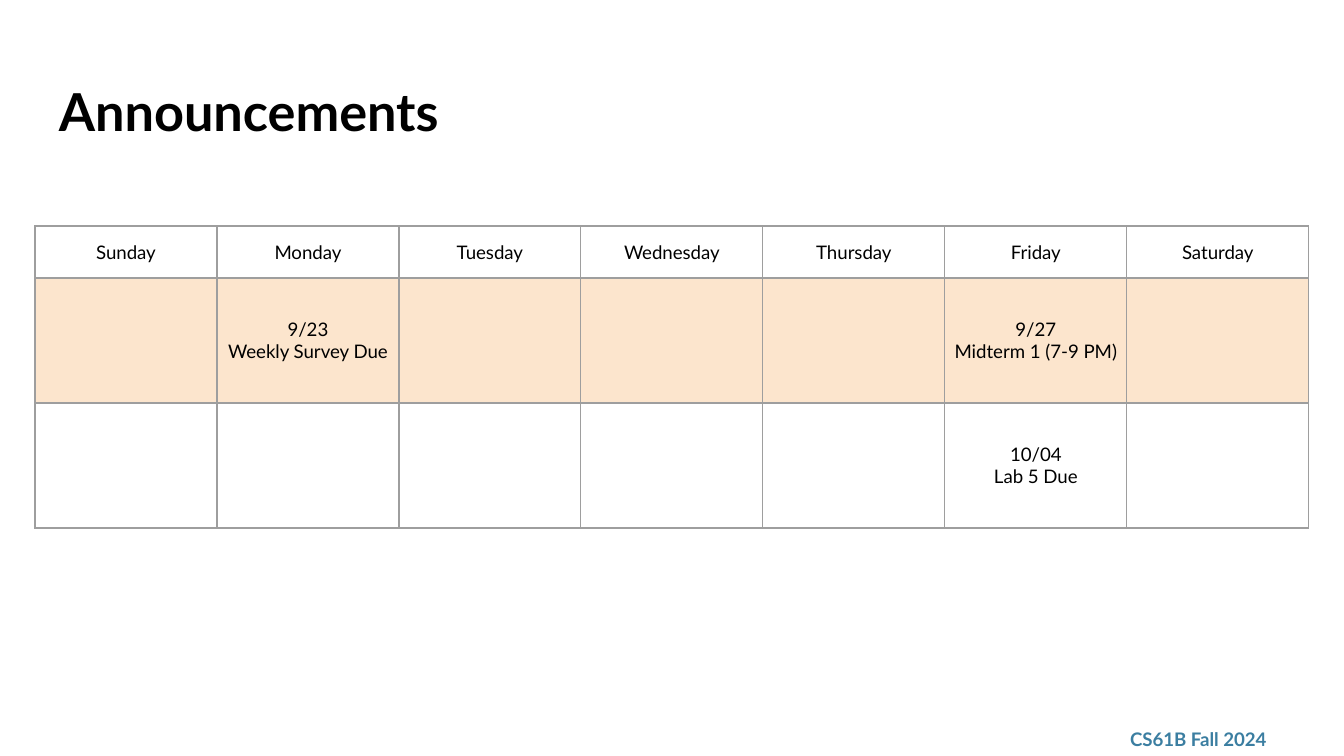
import dataclasses

import pptx
import pptx.dml.color
import pptx.enum.text
import pptx.oxml
import pptx.oxml.ns
import pptx.util

BLACK = pptx.dml.color.RGBColor(0x00, 0x00, 0x00)
BLUE = pptx.dml.color.RGBColor(0x3B, 0x7E, 0xA1)
PEACH = pptx.dml.color.RGBColor(0xFC, 0xE5, 0xCD)
GRAY = pptx.dml.color.RGBColor(0x9E, 0x9E, 0x9E)
FONT = "Lato"
EMU_PER_INCH = 914400
PX_PER_INCH = 134.4
COLUMN_WIDTH = 182
ROW_HEIGHTS = (52, 125, 125)
DAYS = ("Sunday", "Monday", "Tuesday", "Wednesday", "Thursday", "Friday", "Saturday")
CURRENT_WEEK = 1
ANCHOR = pptx.enum.text.MSO_ANCHOR
ALIGN = pptx.enum.text.PP_ALIGN


@dataclasses.dataclass(frozen=True)
class Event:
    week: int
    day: str
    date: str
    label: str


EVENTS = (
    Event(1, "Monday", "9/23", "Weekly Survey Due"),
    Event(1, "Friday", "9/27", "Midterm 1 (7-9 PM)"),
    Event(2, "Friday", "10/04", "Lab 5 Due"),
)


def px(length: int) -> pptx.util.Emu:
    return pptx.util.Emu(round(length * EMU_PER_INCH / PX_PER_INCH))


def write_text(target, text: str, *, size=10, color=BLACK, bold=False,
               align=ALIGN.LEFT, anchor=ANCHOR.MIDDLE, margin=13) -> None:
    frame = target.text_frame
    frame.word_wrap = True
    holder = target if hasattr(target, "is_merge_origin") else frame
    holder.vertical_anchor = anchor
    for side in ("left", "top", "right", "bottom"):
        setattr(holder, f"margin_{side}", px(margin))
    frame.text = text
    for para in frame.paragraphs:
        para.alignment = align
        para.font.size = pptx.util.Pt(size)
        for span in para.runs:
            span.font.name = FONT
            span.font.size = pptx.util.Pt(size)
            span.font.bold = bold
            span.font.color.rgb = color


def set_borders(cell, color: pptx.dml.color.RGBColor, width: float) -> None:
    properties = cell._tc.get_or_add_tcPr()
    for side in ("lnL", "lnR", "lnT", "lnB"):
        properties.append(pptx.oxml.parse_xml(
            f'<a:{side} {pptx.oxml.ns.nsdecls("a")} w="{pptx.util.Pt(width)}">'
            f'<a:solidFill><a:srgbClr val="{color}"/></a:solidFill></a:{side}>'
        ))


def add_calendar(page, left: int, top: int) -> None:
    table = page.shapes.add_table(
        len(ROW_HEIGHTS), len(DAYS), px(left), px(top),
        px(COLUMN_WIDTH * len(DAYS)), px(sum(ROW_HEIGHTS)),
    ).table
    table.first_row = False
    table.horz_banding = False
    for column in table.columns:
        column.width = px(COLUMN_WIDTH)
    for row, height in zip(table.rows, ROW_HEIGHTS):
        row.height = px(height)
    texts = {(0, index): day for index, day in enumerate(DAYS)}
    for event in EVENTS:
        texts[event.week, DAYS.index(event.day)] = f"{event.date}\n{event.label}"
    for week in range(len(ROW_HEIGHTS)):
        for day in range(len(DAYS)):
            cell = table.cell(week, day)
            write_text(cell, texts.get((week, day), ""), align=ALIGN.CENTER, margin=7)
            set_borders(cell, GRAY, 0.75)
            if week == CURRENT_WEEK:
                cell.fill.solid()
                cell.fill.fore_color.rgb = PEACH
            else:
                cell.fill.background()


def main() -> None:
    deck = pptx.Presentation()
    deck.slide_width, deck.slide_height = px(1344), px(756)
    page = deck.slides.add_slide(deck.slide_layouts[5])

    footer = page.shapes.add_textbox(px(1117), px(722), px(181), px(35))
    write_text(footer, "CS61B Fall 2024", color=BLUE, bold=True)

    title = page.shapes.title
    title.left, title.top, title.width, title.height = px(46), px(66), px(1252), px(85)
    title.text_frame.auto_size = pptx.enum.text.MSO_AUTO_SIZE.NONE
    write_text(title, "Announcements", size=28, bold=True, anchor=ANCHOR.TOP)

    add_calendar(page, 35, 226)
    deck.save("out.pptx")


if __name__ == "__main__":
    main()
